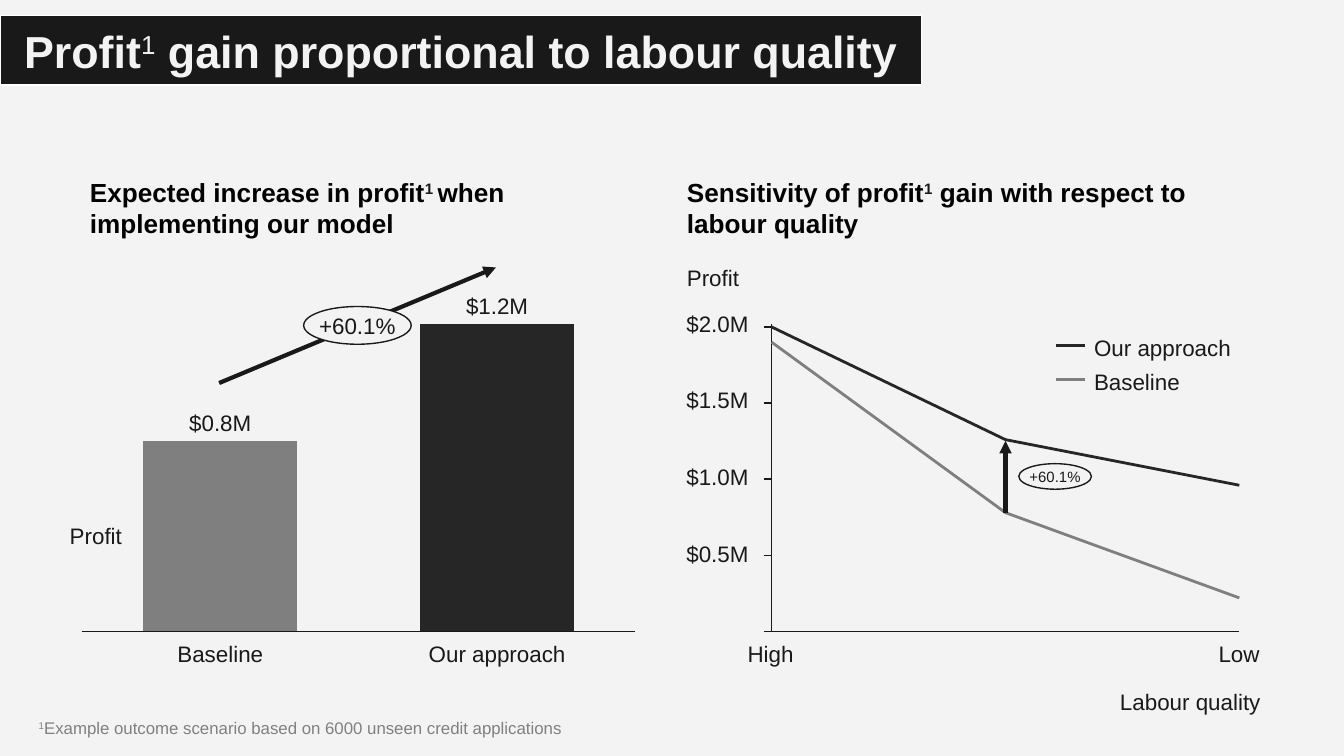
from lxml.etree import SubElement
from pptx import Presentation
from pptx.chart.data import CategoryChartData
from pptx.dml.color import RGBColor
from pptx.enum.chart import XL_CHART_TYPE, XL_MARKER_STYLE, XL_TICK_LABEL_POSITION, XL_TICK_MARK
from pptx.enum.shapes import MSO_CONNECTOR, MSO_SHAPE
from pptx.enum.text import MSO_ANCHOR, MSO_AUTO_SIZE, PP_ALIGN
from pptx.oxml import parse_xml
from pptx.oxml.ns import nsdecls, qn
from pptx.util import Pt

# Content: text between ^ marks is superscript
TITLE = "Profit^1^ gain proportional to labour quality"
HEADS = [
    ("Expected increase in profit^1 ^when implementing our model", 48.2, 285),
    ("Sensitivity of profit^1^ gain with respect to labour quality", 368, 273.6),
]
NOTE = "^1^Example outcome scenario based on 6000 unseen credit applications"
GAIN = "+60.1%"
BARS = [("Baseline", "$0.8M", 62), ("Our approach", "$1.2M", 100)]
LINES = [("Series 1", (95, 39, 11), "grey"), ("Series 2", (100, 63, 48), "dark")]
KEYS = [("Our approach", "dark"), ("Baseline", "grey")]
TICKS = ["$2.0M", "$1.5M", "$1.0M", "$0.5M"]
# Axis texts: text, left, top, width, align
AXES = [
    ("Profit", 37.4, 280, 28, "right"),
    ("Profit", 368, 141.8, 28, "left"),
    ("High", 400.2, 342.7, 25.2, "center"),
    ("Low", 652.3, 342.7, 23, "center"),
    ("Labour quality", 600.5, 368.6, 74.9, "right"),
]

# Theme
THEME = {
    "font": "Arial", "page": "F3F3F3", "ink": "191919", "dark": "262626",
    "grey": "7F7F7F", "note": "808080", "black": "000000", "white": "FFFFFF",
    "title": 24, "head": 14, "text": 12, "chart": 10, "foot": 9, "small": 8,
}
ALIGN = {"left": PP_ALIGN.LEFT, "center": PP_ALIGN.CENTER, "right": PP_ALIGN.RIGHT}
ANCHOR = {"top": MSO_ANCHOR.TOP, "mid": MSO_ANCHOR.MIDDLE, "low": MSO_ANCHOR.BOTTOM}

# Chart frames (left, top, width, height) and inner plot areas as fractions
BAR_BOX, BAR_PLOT = (37.4, 167, 309.6, 177.8), (0.021, 0.037, 0.958, 0.927)
LINE_BOX, LINE_PLOT = (406.8, 167, 263.5, 177.8), (0.025, 0.037, 0.951, 0.927)


def tone(name):
    return RGBColor.from_string(THEME[name])


def pts(vals):
    return [Pt(round(v, 2)) for v in vals]


def area(box, plot):
    x, y, w, h = box
    return x + plot[0] * w, y + plot[1] * h, plot[2] * w, plot[3] * h


def write(shape, text, size="text", color="ink", sup=None, bold=False, sup_bold=None,
          align="left", anchor="top", inset=(0, 0, 0, 0), wrap=False, space=None):
    frame = shape.text_frame
    frame.auto_size = MSO_AUTO_SIZE.NONE
    frame.word_wrap = wrap
    frame.vertical_anchor = ANCHOR[anchor]
    (frame.margin_left, frame.margin_top,
     frame.margin_right, frame.margin_bottom) = pts(inset)
    para = frame.paragraphs[0]
    para.alignment = ALIGN[align]
    if space:
        para.line_spacing = space
    for i, part in enumerate(text.split("^")):
        if not part:
            continue
        run = para.add_run()
        run.text = part
        font = run.font
        font.name, font.size = THEME["font"], Pt(THEME[size])
        raised = i % 2 == 1
        font.bold = sup_bold if raised and sup_bold is not None else bold
        font.color.rgb = tone(sup if raised and sup else color)
        if raised:
            run._r.get_or_add_rPr().set("baseline", "30000")


def label(text, *box, **look):
    write(slide.shapes.add_textbox(*pts(box)), text, **look)


def stroke(line, color, width):
    line.color.rgb = tone(color)
    line.width = Pt(width)


def rule(ends, color, width, arrow=False):
    link = slide.shapes.add_connector(MSO_CONNECTOR.STRAIGHT, *pts(ends))
    stroke(link.line, color, width)
    if arrow:
        SubElement(link.line._get_or_add_ln(), qn("a:tailEnd"), type="triangle")
    SubElement(link._element.spPr, qn("a:effectLst"))


def bubble(size, *box):
    oval = slide.shapes.add_shape(MSO_SHAPE.OVAL, *pts(box))
    oval.shadow.inherit = False
    oval.fill.solid()
    oval.fill.fore_color.rgb = tone("page")
    stroke(oval.line, "ink", 0.75)
    write(oval, GAIN, size=size, align="center", anchor="mid")


def graph(kind, cats, rows, box, plot, top):
    data = CategoryChartData()
    data.categories = cats
    for name, vals in rows:
        data.add_series(name, vals)
    chart = slide.shapes.add_chart(kind, *pts(box), data).chart
    chart.has_legend = chart.has_title = False
    chart.font.name, chart.font.size = THEME["font"], Pt(THEME["chart"])
    chart.font.color.rgb = tone("ink")
    chart.plots[0].vary_by_categories = False
    for axis in (chart.category_axis, chart.value_axis):
        axis.has_major_gridlines = False
        axis.major_tick_mark = axis.minor_tick_mark = XL_TICK_MARK.NONE
        axis.tick_label_position = XL_TICK_LABEL_POSITION.NONE
        stroke(axis.format.line, "ink", 0.75)
    chart.value_axis.minimum_scale = 0
    chart.value_axis.maximum_scale = top
    # Fixed inner plot area
    root = chart._chartSpace.xpath(".//c:plotArea")[0]
    for old in root.findall(qn("c:layout")):
        root.remove(old)
    spots = "".join(f'<c:{k} val="{v}"/>' for k, v in zip("xywh", plot))
    modes = '<c:xMode val="edge"/><c:yMode val="edge"/>'
    root.insert(0, parse_xml(
        f'<c:layout {nsdecls("c")}><c:manualLayout><c:layoutTarget val="inner"/>'
        f'{modes}{spots}</c:manualLayout></c:layout>'))
    return chart


deck = Presentation()
deck.slide_width, deck.slide_height = Pt(720), Pt(405)
slide = deck.slides.add_slide(deck.slide_layouts[5])
slide.background.fill.solid()
slide.background.fill.fore_color.rgb = tone("page")

# Title banner
title = slide.shapes.title
title.left, title.top, title.width, title.height = pts((0, 8.2, 493.6, 37.4))
title._element.spPr.insert(1, parse_xml(
    f'<a:prstGeom {nsdecls("a")} prst="homePlate"><a:avLst/></a:prstGeom>'))
title.fill.solid()
title.fill.fore_color.rgb = tone("ink")
stroke(title.line, "white", 0.75)
write(title, TITLE, size="title", color="page", bold=True, sup_bold=False,
      align="center", anchor="mid", inset=(7.2,) * 4)

# Column chart
chart = graph(XL_CHART_TYPE.COLUMN_STACKED, ["1", "2"],
              [("Series 1", [val for _, _, val in BARS])], BAR_BOX, BAR_PLOT, 100)
chart.value_axis.visible = False
chart.plots[0].gap_width, chart.plots[0].overlap = 80, 100
bars = chart.plots[0].series[0]
for fill, name in ((bars.format.fill, "dark"), (bars.points[0].format.fill, "grey")):
    fill.solid()
    fill.fore_color.rgb = tone(name)

# Column names and values
left, top, width, height = area(BAR_BOX, BAR_PLOT)
for i, (name, cash, val) in enumerate(BARS):
    mid = left + width * (i + 0.5) / len(BARS)
    peak = top + height * (1 - val / 100)
    label(cash, mid - 18.4, peak - 15.6, 36.8, 13, align="center", anchor="low",
          inset=(1.4, 0, 1.4, 0), space=0.9)
    label(name, mid - 37, 342.7, 74, 14.4, align="center")
rule((117.4, 205.2, 265.7, 143.3), "ink", 2.25, arrow=True)
bubble("text", 162.7, 164.2, 57.6, 20.2)

# Line chart
chart = graph(XL_CHART_TYPE.LINE, ["1", "2", "3"], [row[:2] for row in LINES],
              LINE_BOX, LINE_PLOT, 101)
chart.value_axis.major_unit = 25
chart.value_axis.major_tick_mark = XL_TICK_MARK.OUTSIDE
for line, (_, _, color) in zip(chart.plots[0].series, LINES):
    line.smooth = False
    line.marker.style = XL_MARKER_STYLE.NONE
    stroke(line.format.line, color, 1.5)
# Lines start on the value axis
scale = chart._chartSpace.xpath(".//c:valAx")[0]
for old in scale.findall(qn("c:crossBetween")):
    scale.remove(old)
scale.find(qn("c:crosses")).addnext(
    parse_xml(f'<c:crossBetween {nsdecls("c")} val="midCat"/>'))

# Scale, gain arrow and key
left, top, width, height = area(LINE_BOX, LINE_PLOT)
for i, text in enumerate(TICKS):
    label(text, 368, top + height * i / len(TICKS) - 6.1, 33.1, 13,
          align="right", anchor="mid", space=0.9)
mid = left + width / 2
rule((mid, 275, mid, 236.2), "ink", 2.25, arrow=True)
bubble("small", 545.8, 248.4, 38.9, 13.7)
for i, (name, color) in enumerate(KEYS):
    y = 185 + 18.4 * i
    rule((565.9, y, 581, y), color, 1.5)
    label(name, 586.1, y - 6.2, 73.4, 14.4, anchor="mid")

# Axis texts, headings and footnote
for text, x, y, wide, align in AXES:
    label(text, x, y, wide, 14.4, align=align, anchor="mid")
for text, x, wide in HEADS:
    label(text, x, 94.3, wide, 33.8, size="head", color="black", sup="ink",
          bold=True, wrap=True)
label(NOTE, 13.7, 380.9, 319, 18, size="foot", color="note", wrap=True,
      inset=(7.2, 3.6, 7.2, 3.6))

deck.save("out.pptx")
